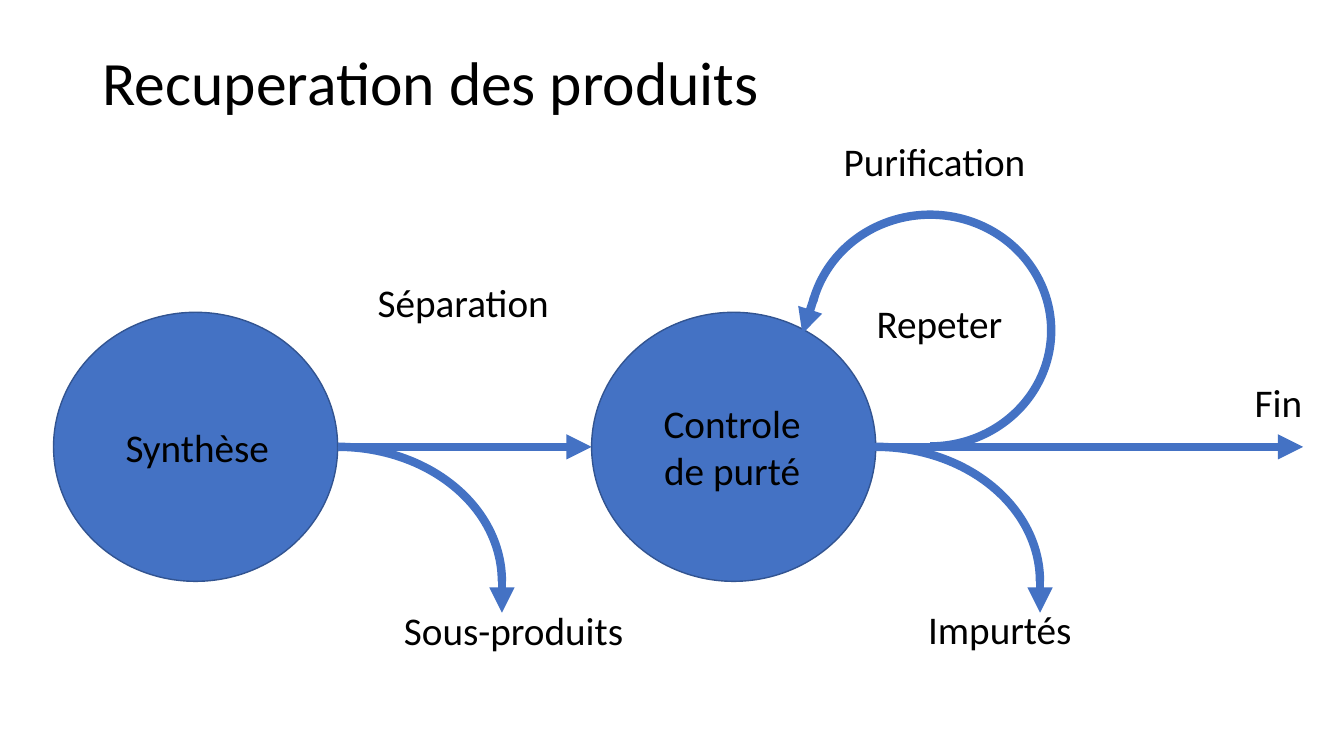
"""Builds the slide on product recovery: synthesis, separation, purification."""
from lxml.etree import SubElement
from pptx import Presentation
from pptx.dml.color import RGBColor
from pptx.enum.shapes import MSO_CONNECTOR, MSO_SHAPE
from pptx.enum.text import MSO_ANCHOR, MSO_AUTO_SIZE, PP_ALIGN
from pptx.oxml.ns import qn
from pptx.util import Cm, Pt

BLACK = RGBColor(0x00, 0x00, 0x00)
BLUE = RGBColor(0x44, 0x72, 0xC4)
DARK_BLUE = RGBColor(0x32, 0x54, 0x91)

AXIS = 11.26
STAGE_LEFTS = (1.35, 14.91)
STAGE_WIDTH, STAGE_HEIGHT = 7.16, 6.78

deck = Presentation()
deck.slide_width, deck.slide_height = Cm(33.87), Cm(19.05)
page = deck.slides.add_slide(deck.slide_layouts[5])


def write(frame, text, size=28, align=PP_ALIGN.LEFT, wrap=False,
          fit=MSO_AUTO_SIZE.SHAPE_TO_FIT_TEXT, spacing=1.0):
    frame.word_wrap = wrap
    frame.auto_size = fit
    para = frame.paragraphs[0]
    para.alignment = align
    para.line_spacing = spacing
    span = para.add_run()
    span.text = text
    span.font.name = "Calibri"
    span.font.size = Pt(size)
    span.font.color.rgb = BLACK


title = page.shapes.title
title.left, title.top, title.width, title.height = Cm(2.33), Cm(1.01), Cm(29.21), Cm(2.27)
title.text_frame.vertical_anchor = MSO_ANCHOR.MIDDLE
write(title.text_frame, "Recuperation des produits", size=44, wrap=True,
      fit=MSO_AUTO_SIZE.NONE, spacing=0.9)

arcs = [(20.52, 5.28, 5.84, 6.1, 90)]
arrows = [
    (STAGE_LEFTS[0] + STAGE_WIDTH, AXIS, STAGE_LEFTS[1], AXIS),
    (21.84, AXIS, 32.84, AXIS),
    (20.52, 7.49, 20.22, 8.41),
]
for left in STAGE_LEFTS:
    stage = page.shapes.add_shape(MSO_SHAPE.OVAL, Cm(left), Cm(7.87),
                                  Cm(STAGE_WIDTH), Cm(STAGE_HEIGHT))
    stage.shadow.inherit = False
    stage.fill.solid()
    stage.fill.fore_color.rgb = BLUE
    stage.line.color.rgb = DARK_BLUE
    stage.line.width = Pt(1)
    arcs.append((left + 3.04, AXIS, 8.26, STAGE_HEIGHT, 0))
    arrows.append((left + 11.3, 14.43, left + 11.3, 15.44))

for left, top, width, height, rotation in arcs:
    arc = page.shapes.add_shape(MSO_SHAPE.ARC, Cm(left), Cm(top), Cm(width), Cm(height))
    arc.shadow.inherit = False
    arc.fill.background()
    arc.line.color.rgb = BLUE
    arc.line.width = Pt(6)
    if rotation:
        arc.rotation = rotation
        arc.adjustments[0] = 62.47
        arc.adjustments[1] = 0

for start_x, start_y, end_x, end_y in arrows:
    arrow = page.shapes.add_connector(MSO_CONNECTOR.STRAIGHT, Cm(start_x), Cm(start_y),
                                      Cm(end_x), Cm(end_y))
    arrow.line.color.rgb = BLUE
    arrow.line.width = Pt(6)
    SubElement(arrow.line._get_or_add_ln(), qn("a:tailEnd"), type="triangle")
    SubElement(arrow._element.spPr, qn("a:effectLst"))

labels = [
    ("Sous-produits", 9.93, 15.16, 6.1),
    ("Impurtés", 23.14, 15.14, 4.17),
    ("Fin", 31.37, 9.4, 1.73),
    ("Repeter", 21.84, 7.42, 3.71),
    ("Séparation", 9.27, 6.88, 4.88),
    ("Purification", 21.01, 3.33, 5.16),
]
for text, left, top, width in labels:
    box = page.shapes.add_textbox(Cm(left), Cm(top), Cm(width), Cm(1.45))
    write(box.text_frame, text)

stage_names = [("Synthèse", 2.67, 10.54, 1.45), ("Controle de purté", 16.15, 9.93, 2.64)]
for text, left, top, height in stage_names:
    box = page.shapes.add_textbox(Cm(left), Cm(top), Cm(4.6), Cm(height))
    write(box.text_frame, text, align=PP_ALIGN.CENTER, wrap=True)

deck.save("out.pptx")
